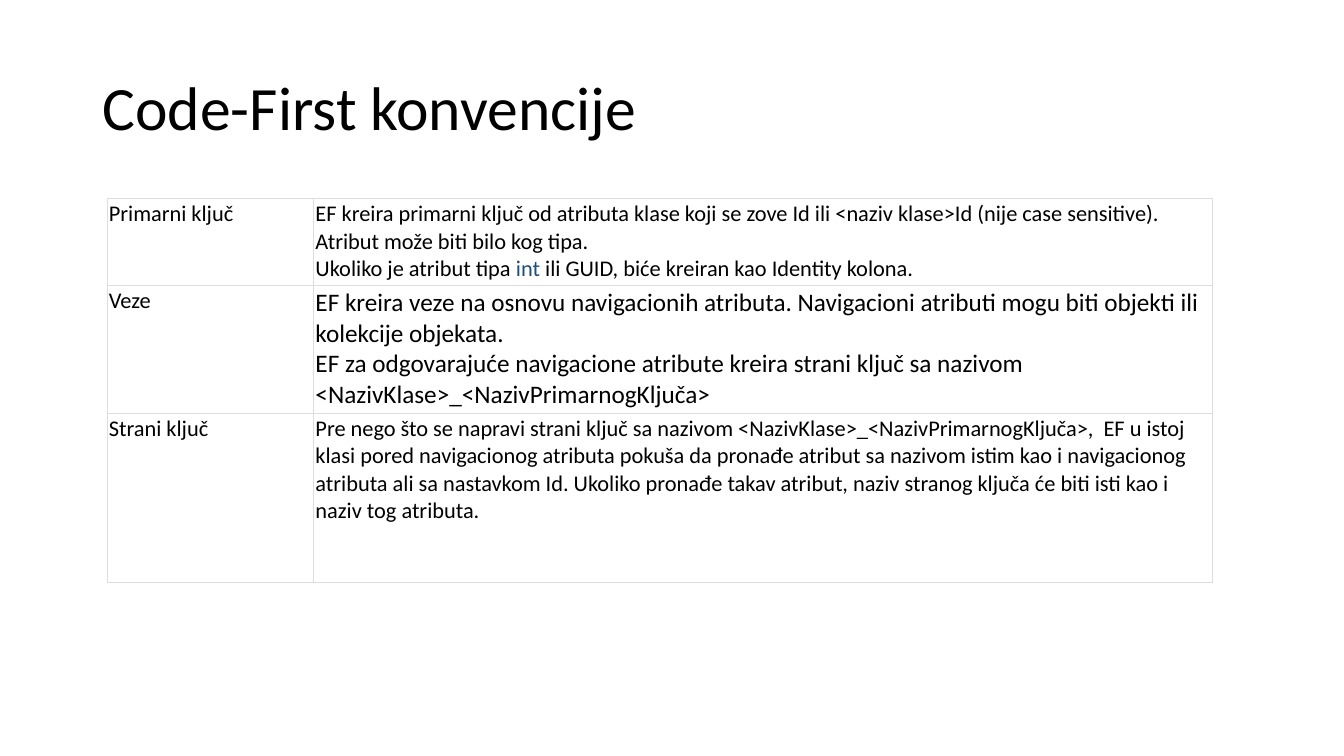
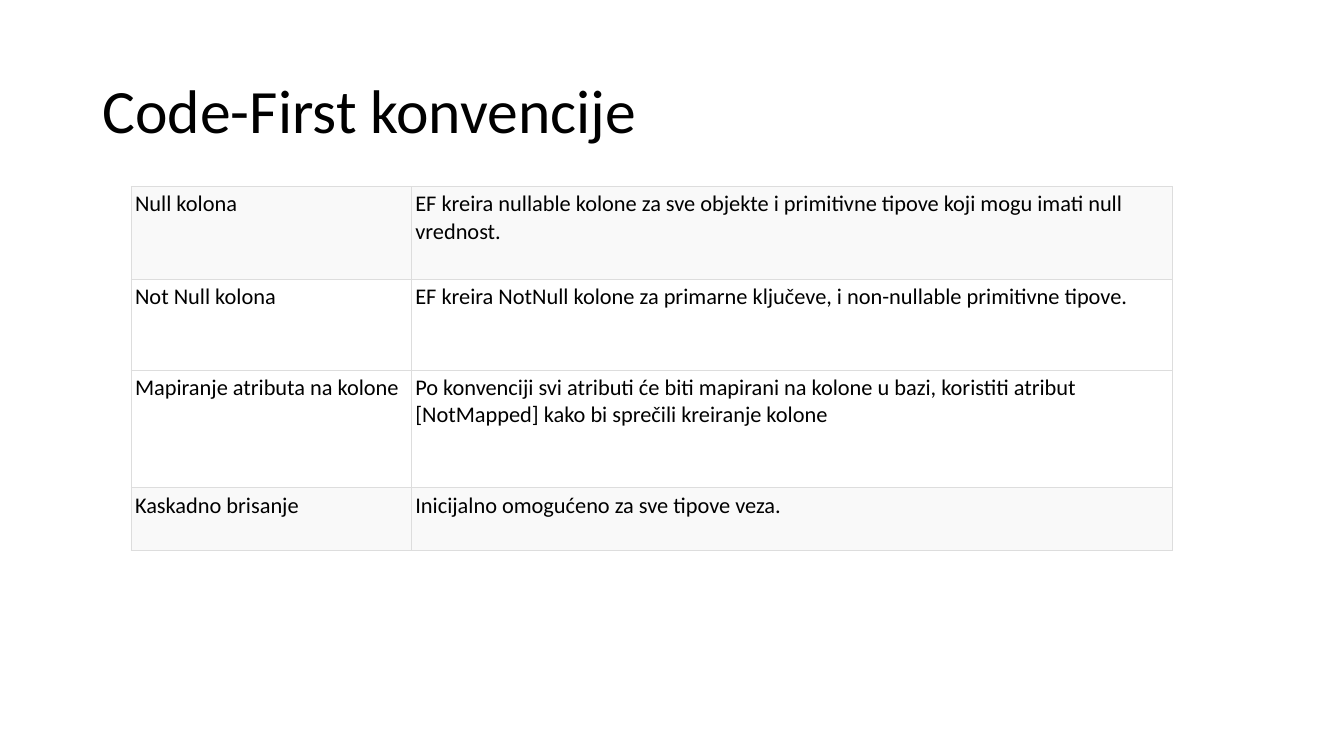
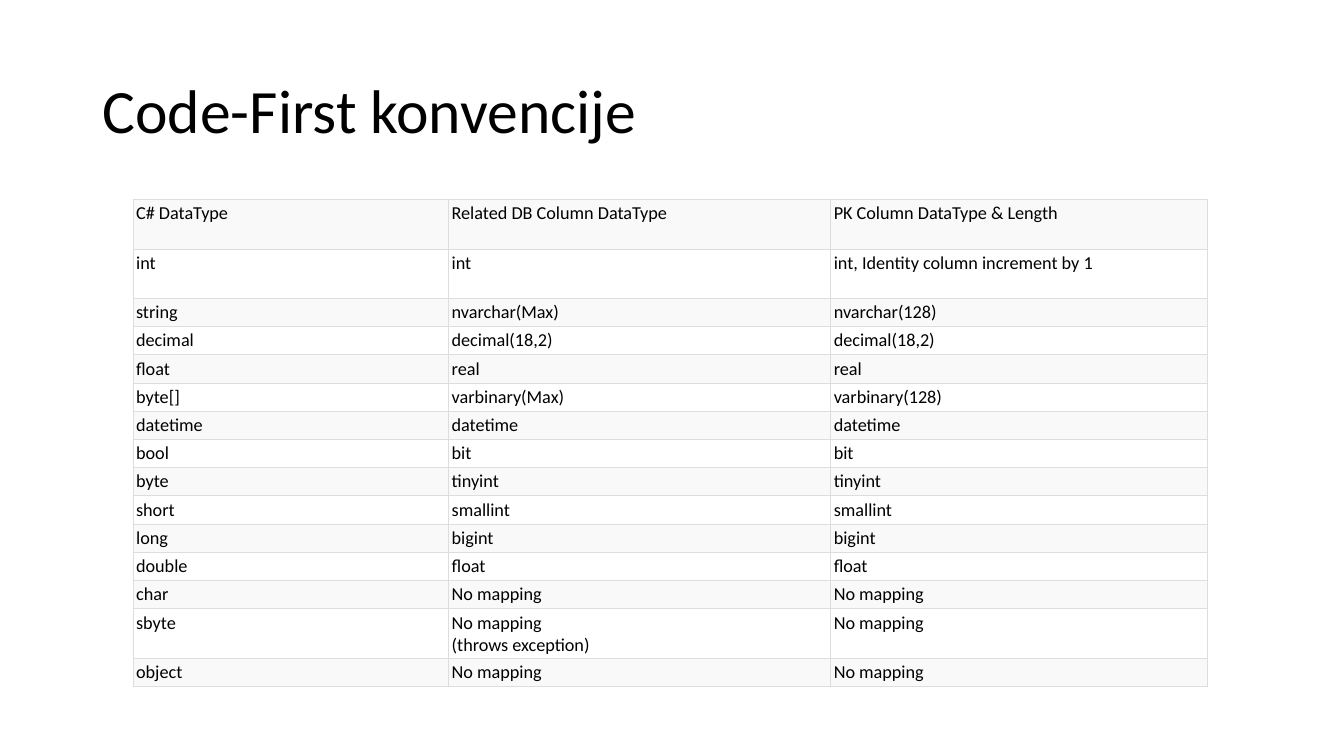
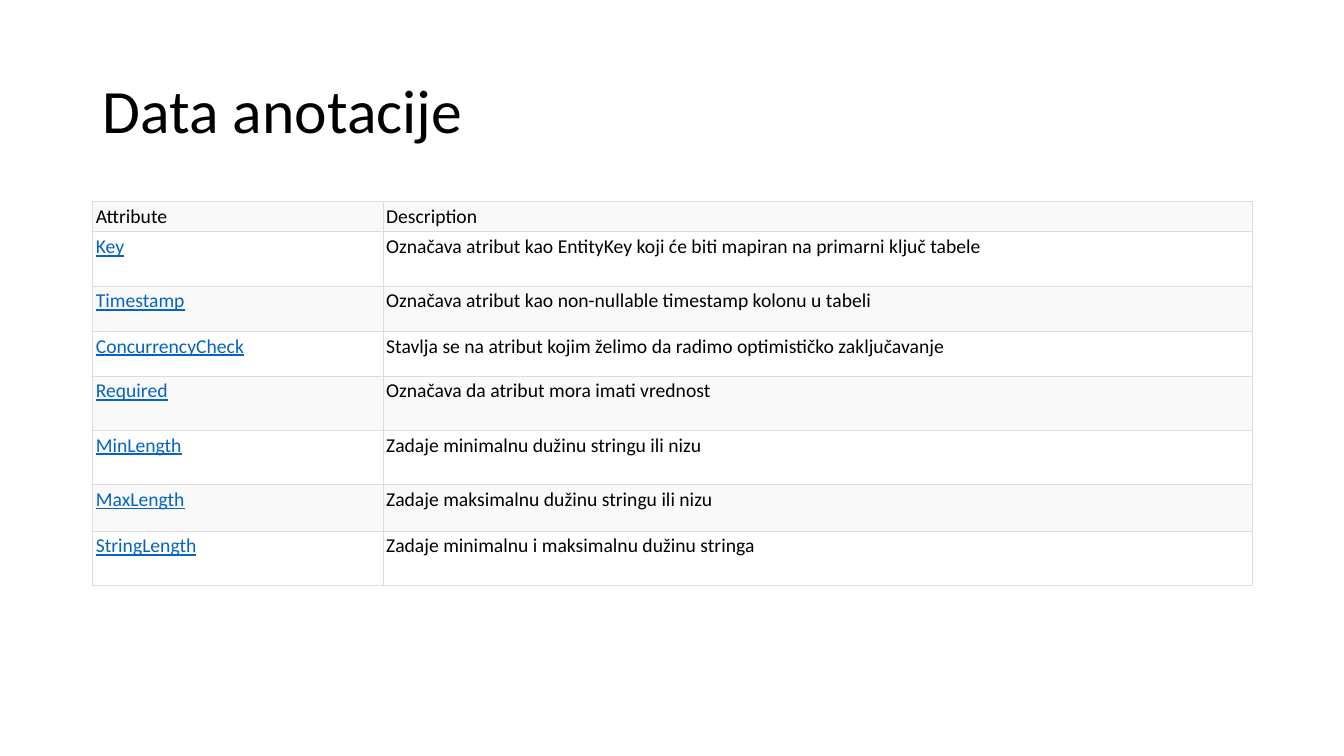
from lxml import etree
from pptx import Presentation
from pptx.dml.color import RGBColor
from pptx.enum.text import MSO_ANCHOR
from pptx.oxml.ns import qn
from pptx.util import Inches, Pt

BLACK = RGBColor(0x00, 0x00, 0x00)
WHITE = RGBColor(0xFF, 0xFF, 0xFF)
BAND = RGBColor(0xF9, 0xF9, 0xF9)
BORDER = RGBColor(0xDD, 0xDD, 0xDD)
KEYWORD = RGBColor(0x1F, 0x4E, 0x79)
LINK = RGBColor(0x05, 0x63, 0xC1)
FONT = "Calibri"

KEY_RULES = [
    ["Primarni ključ",
     ["EF kreira primarni ključ od atributa klase koji se zove Id ili <naziv klase>Id "
      "(nije case sensitive).",
      "Atribut može biti bilo kog tipa.",
      [("Ukoliko je atribut tipa ", BLACK), ("int ", KEYWORD),
       ("ili GUID, biće kreiran kao Identity kolona.", BLACK)]]],
    ["Veze",
     ["EF kreira veze na osnovu navigacionih atributa. Navigacioni atributi mogu biti "
      "objekti ili kolekcije objekata.",
      "EF za odgovarajuće navigacione atribute kreira strani ključ sa nazivom "
      "<NazivKlase>_<NazivPrimarnogKljuča>"]],
    ["Strani ključ",
     "Pre nego što se napravi strani ključ sa nazivom <NazivKlase>_<NazivPrimarnogKljuča>,  "
     "EF u istoj klasi pored navigacionog atributa pokuša da pronađe atribut sa nazivom "
     "istim kao i navigacionog atributa ali sa nastavkom Id. Ukoliko pronađe takav atribut, "
     "naziv stranog ključa će biti isti kao i naziv tog atributa."],
]
COLUMN_RULES = [
    ["Null kolona",
     "EF kreira nullable kolone za sve objekte i primitivne tipove koji mogu imati null vrednost."],
    ["Not Null kolona",
     "EF kreira NotNull kolone za primarne ključeve, i non-nullable primitivne tipove."],
    ["Mapiranje atributa na kolone",
     "Po konvenciji svi atributi će biti mapirani na kolone u bazi, koristiti atribut "
     "[NotMapped] kako bi sprečili kreiranje kolone"],
    ["Kaskadno brisanje", "Inicijalno omogućeno za sve tipove veza."],
]
DATA_TYPES = [
    ["C# DataType", "Related DB Column DataType", "PK Column DataType & Length"],
    ["int", "int", "int, Identity column increment by 1"],
    ["string", "nvarchar(Max)", "nvarchar(128)"],
    ["decimal", "decimal(18,2)", "decimal(18,2)"],
    ["float", "real", "real"],
    ["byte[]", "varbinary(Max)", "varbinary(128)"],
    ["datetime", "datetime", "datetime"],
    ["bool", "bit", "bit"],
    ["byte", "tinyint", "tinyint"],
    ["short", "smallint", "smallint"],
    ["long", "bigint", "bigint"],
    ["double", "float", "float"],
    ["char", "No mapping", "No mapping"],
    ["sbyte", ["No mapping", "(throws exception)"], "No mapping"],
    ["object", "No mapping", "No mapping"],
]
ANNOTATIONS = [
    ["Attribute", "Description"],
    ["Key", "Označava atribut kao EntityKey koji će biti mapiran na primarni ključ tabele"],
    ["Timestamp", "Označava atribut kao non-nullable timestamp kolonu u tabeli"],
    ["ConcurrencyCheck", "Stavlja se na atribut kojim želimo da radimo optimističko zaključavanje"],
    ["Required", "Označava da atribut mora imati vrednost"],
    ["MinLength", "Zadaje minimalnu dužinu stringu ili nizu"],
    ["MaxLength", "Zadaje maksimalnu dužinu stringu ili nizu"],
    ["StringLength", "Zadaje minimalnu i maksimalnu dužinu stringa"],
]


def write(tf, text, size=16, color=BLACK, underline=False, spacing=None):
    """Fill a text frame from a string or a list of paragraphs, each a string or coloured runs."""
    paragraphs = [text] if isinstance(text, str) else text
    for i, runs in enumerate(paragraphs):
        p = tf.add_paragraph() if i else tf.paragraphs[0]
        if spacing:
            p.line_spacing = spacing
        for part, run_color in [(runs, color)] if isinstance(runs, str) else runs:
            r = p.add_run()
            r.text = part
            r.font.name = FONT
            r.font.size = Pt(size)
            r.font.color.rgb = run_color
            if underline:
                r.font.underline = True


def add_titled_slide(prs, title, top=0.4):
    """Add a blank slide with the shared title style."""
    s = prs.slides.add_slide(prs.slide_layouts[6])
    box = s.shapes.add_textbox(Inches(0.92), Inches(top), Inches(11.5), Inches(1.45))
    tf = box.text_frame
    tf.word_wrap = True
    tf.vertical_anchor = MSO_ANCHOR.MIDDLE
    write(tf, title, size=44, spacing=0.9)
    return s


def set_borders(cell):
    """Draw a thin line on all four sides of a cell."""
    tc_pr = cell._tc.get_or_add_tcPr()
    for side in ("a:lnL", "a:lnR", "a:lnT", "a:lnB"):
        ln = etree.SubElement(tc_pr, qn(side), w=str(Pt(0.6)))
        fill = etree.SubElement(ln, qn("a:solidFill"))
        etree.SubElement(fill, qn("a:srgbClr"), val=str(BORDER))


def add_grid(s, rows, left, top, widths, heights, margin, size=16, banded=(),
             row_sizes=None, link_rows=()):
    """Add a bordered table with optional bands, row text sizes and link-styled first cells."""
    frame = s.shapes.add_table(len(rows), len(widths), Inches(left), Inches(top),
                               Inches(sum(widths)), Inches(sum(heights)))
    table = frame.table
    table.first_row = table.horz_banding = False
    for column, width in zip(table.columns, widths):
        column.width = Inches(width)
    for i, (values, height) in enumerate(zip(rows, heights)):
        table.rows[i].height = Inches(height)
        for j, value in enumerate(values):
            cell = table.cell(i, j)
            set_borders(cell)
            cell.fill.solid()
            cell.fill.fore_color.rgb = BAND if i in banded else WHITE
            cell.margin_left = cell.margin_right = Inches(margin)
            cell.margin_top = cell.margin_bottom = Inches(margin)
            is_link = j == 0 and i in link_rows
            write(cell.text_frame, value, size=(row_sizes or {}).get((i, j), size),
                  color=LINK if is_link else BLACK, underline=is_link)


def main():
    """Build the four slides and save them."""
    prs = Presentation()
    prs.slide_width, prs.slide_height = Inches(13.33), Inches(7.5)
    conventions = "Code-First konvencije"

    s = add_titled_slide(prs, conventions, top=0.37)
    add_grid(s, KEY_RULES, 1.06, 1.97, [2.05, 8.92], [0.86, 1.27, 1.68], 0.02,
             row_sizes={(1, 1): 18})

    s = add_titled_slide(prs, conventions)
    add_grid(s, COLUMN_RULES, 1.3, 1.85, [2.78, 7.55], [0.92, 0.9, 1.17, 0.62], 0.04,
             banded=(0, 3))

    s = add_titled_slide(prs, conventions)
    tall_rows = (0, 1, 13)
    heights = [0.49 if i in tall_rows else 0.28 for i in range(len(DATA_TYPES))]
    add_grid(s, DATA_TYPES, 1.32, 1.98, [3.13, 3.79, 3.74], heights, 0.03, size=13,
             banded=range(0, len(DATA_TYPES), 2))

    s = add_titled_slide(prs, "Data anotacije")
    add_grid(s, ANNOTATIONS, 0.92, 2, [2.88, 8.62],
             [0.3, 0.54, 0.45, 0.44, 0.54, 0.54, 0.46, 0.54], 0.03, size=14,
             banded=range(0, len(ANNOTATIONS), 2), link_rows=range(1, len(ANNOTATIONS)))

    prs.save("out.pptx")


if __name__ == "__main__":
    main()
